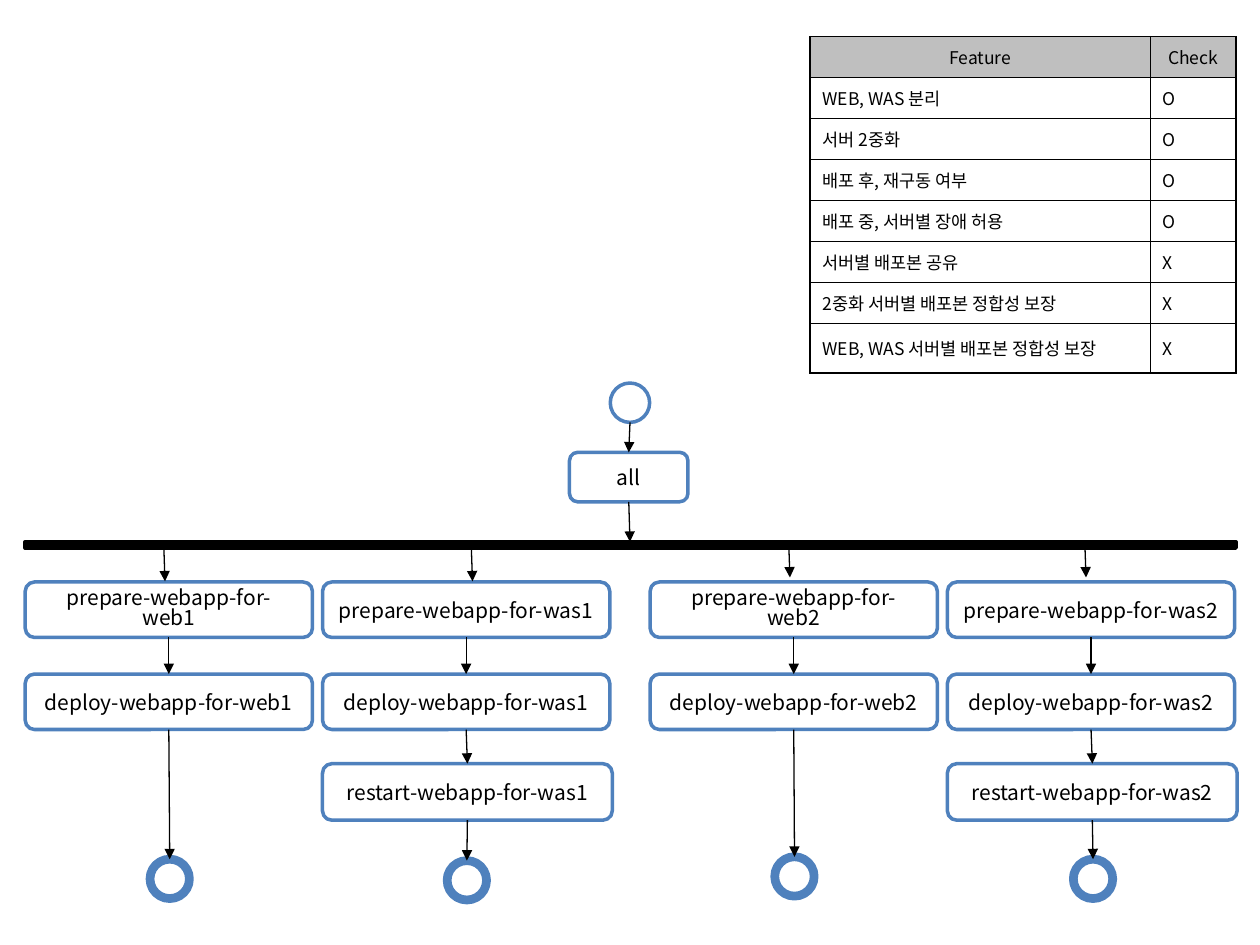
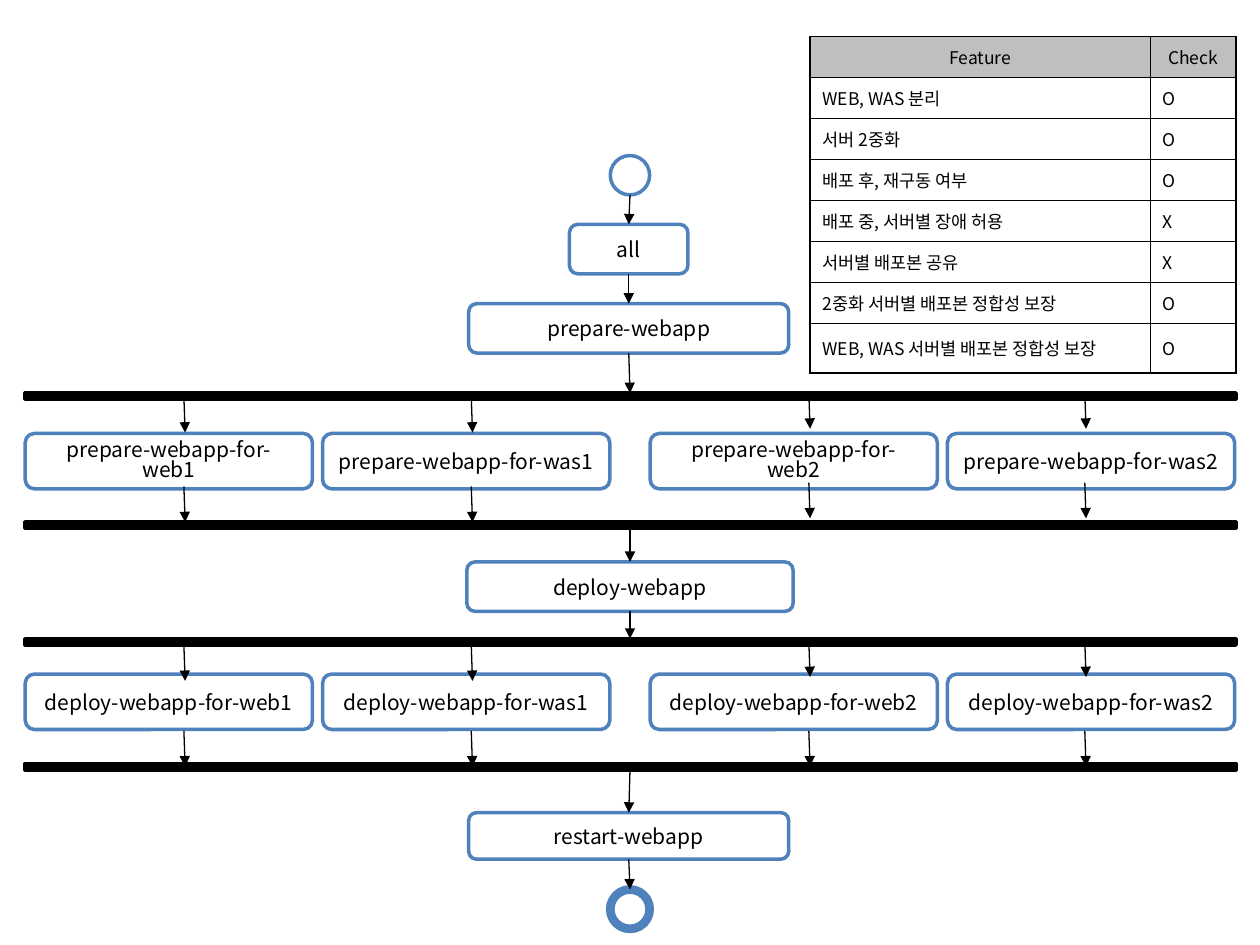
from dataclasses import dataclass
from lxml.etree import SubElement
from pptx import Presentation
from pptx.dml.color import RGBColor
from pptx.enum.shapes import MSO_CONNECTOR, MSO_SHAPE
from pptx.enum.text import MSO_ANCHOR, PP_ALIGN
from pptx.oxml import parse_xml
from pptx.oxml.ns import nsdecls, qn
from pptx.util import Pt


@dataclass(frozen=True)
class Theme:
    font: str = "Noto Sans CJK KR"
    ink: RGBColor = RGBColor(0, 0, 0)
    paper: RGBColor = RGBColor(255, 255, 255)
    outline: RGBColor = RGBColor(0x4F, 0x81, 0xBD)
    header: RGBColor = RGBColor(0xBF, 0xBF, 0xBF)
    step_size: int = 12
    table_size: int = 10
    outline_width: float = 2
    end_width: float = 5
    arrow_width: float = 0.75


THEME = Theme()

# Content: feature table
HEADINGS = ("Feature", "Check")
FEATURES = [
    "WEB, WAS 분리",
    "서버 2중화",
    "배포 후, 재구동 여부",
    "배포 중, 서버별 장애 허용",
    "서버별 배포본 공유",
    "2중화 서버별 배포본 정합성 보장",
    "WEB, WAS 서버별 배포본 정합성 보장",
]

# Content: servers with the left edge of their column
SERVERS = {"web1": 14.4, "was1": 184.3, "web2": 371.5, "was2": 541.4}

# Content: flows. Spine items are (kind or label, top, width, height, centre);
# server rows are (action, top); forks are (top, drop of the web1/was1 pair).
BAR, START, END = "bar", "start", "end"
FLOWS = [
    {
        "checks": "OOOOXXX",
        "spine": [
            (START, 218.9, 22.5, 22.5, 360),
            ("all", 258.5, 67.7, 28.3, 359.3),
            (BAR, 309.6, 691.9, 3.6, 360),
        ],
        "rows": [("prepare", 332.6), ("deploy", 385.2)],
        "fork_x": (93.6, 269.3, 450.7, 619.9),
        "forks": [(309.6, 2.2)],
        "restart": ("was1", "was2"),
        "ends": {"web1": (97, 491), "was1": (266.8, 491.8),
                 "web2": (454, 489.6), "was2": (624.6, 491)},
    },
    {
        "checks": "OOOXXOO",
        "spine": [
            (START, 88.9, 22.5, 22.5, 360),
            ("all", 128.2, 67.7, 28.3, 359.3),
            ("prepare-webapp", 173.5, 182.9, 28.3, 359.3),
            (BAR, 224.6, 691.9, 3.6, 360),
            (BAR, 298.1, 691.9, 3.6, 360),
            ("deploy-webapp", 321.1, 186.5, 28.3, 360),
            (BAR, 365, 691.9, 3.6, 360),
            (BAR, 436.3, 691.9, 3.6, 360),
            ("restart-webapp", 464.4, 182.9, 26.6, 359.3),
            (END, 508.3, 22.5, 22.5, 360),
        ],
        "rows": [("prepare", 247.7), ("deploy", 385.2)],
        "fork_x": (105.1, 269.3, 462.2, 619.9),
        "forks": [(224.6, 2.2), (275.8, 2.2), (366.5, 2.2), (417.6, 0)],
        "restart": (),
        "ends": {},
    },
]

# Layout
STEP_W, STEP_H = 164.16, 31.7
RESTART_TOP, RESTART_W, RESTART_H = 436.4, 165.6, 32.3
RING = 22.5
FORK_LENGTH, FORK_LEAN = 20.4, 0.7
TABLE_LEFT, TABLE_TOP = 462.9, 20.9
TABLE_COLUMNS = (194.4, 49)
TABLE_ROW, TABLE_LAST_ROW = 23.45, 28.2


def style_text(frame, size, align):
    paragraph = frame.paragraphs[0]
    paragraph.alignment = align
    for run in paragraph.runs:
        run.font.size = Pt(size)
        run.font.bold = False
        run.font.color.rgb = THEME.ink
        run.font.name = THEME.font
        SubElement(run.font._element, qn("a:ea"), typeface=THEME.font)
    return paragraph


def add_node(slide, preset, left, top, width, height, fill=THEME.paper,
             line=THEME.outline, weight=THEME.outline_width):
    node = slide.shapes.add_shape(preset, Pt(left), Pt(top), Pt(width), Pt(height))
    node.shadow.inherit = False
    node.fill.solid()
    node.fill.fore_color.rgb = fill
    node.line.color.rgb = line
    node.line.width = Pt(weight)
    return node


def add_step(slide, label, left, top, width, height):
    frame = add_node(slide, MSO_SHAPE.ROUNDED_RECTANGLE, left, top, width, height).text_frame
    frame.word_wrap = True
    frame.vertical_anchor = MSO_ANCHOR.MIDDLE
    frame.text = label
    paragraph = style_text(frame, THEME.step_size, PP_ALIGN.CENTER)
    if label.startswith("prepare-webapp-for-web"):  # wraps onto two lines
        paragraph.line_spacing = 0.8


def add_ring(slide, centre, top, weight):
    add_node(slide, MSO_SHAPE.OVAL, centre - RING / 2, top, RING, RING, weight=weight)


def add_arrow(slide, x1, y1, x2, y2):
    arrow = slide.shapes.add_connector(MSO_CONNECTOR.STRAIGHT, Pt(x1), Pt(y1), Pt(x2), Pt(y2))
    arrow.line.color.rgb = THEME.ink
    arrow.line.width = Pt(THEME.arrow_width)
    SubElement(arrow.line._get_or_add_ln(), qn("a:tailEnd"), type="triangle")
    SubElement(arrow._element.spPr, qn("a:effectLst"))


def add_spine(slide, spine):
    for label, top, width, height, centre in spine:
        left = centre - width / 2
        if label == BAR:
            add_node(slide, MSO_SHAPE.RECTANGLE, SERVERS["web1"], top, width, height,
                     fill=THEME.ink, line=THEME.ink)
        elif label in (START, END):
            add_ring(slide, centre, top,
                     THEME.end_width if label == END else THEME.outline_width)
        else:
            add_step(slide, label, left, top, width, height)
    # Two bars in a row enclose the server steps, so no arrow joins them
    for upper, lower in zip(spine, spine[1:]):
        if not upper[0] == lower[0] == BAR:
            add_arrow(slide, upper[4], upper[1] + upper[3], lower[4], lower[1])


def add_servers(slide, flow):
    for server, left in SERVERS.items():
        chain = [(action, top, STEP_W, STEP_H) for action, top in flow["rows"]]
        if server in flow["restart"]:
            chain.append(("restart", RESTART_TOP, RESTART_W, RESTART_H))
        for action, top, width, height in chain:
            add_step(slide, f"{action}-webapp-for-{server}", left, top, width, height)
        # Where each server ends in its own ring, its steps are chained
        if server in flow["ends"]:
            end_x, end_top = flow["ends"][server]
            add_ring(slide, end_x, end_top, THEME.end_width)
            stops = [(left + width / 2, top, top + height) for _, top, width, height in chain]
            stops.append((end_x, end_top, end_top + RING))
            for (x1, _, bottom), (x2, top, _) in zip(stops, stops[1:]):
                add_arrow(slide, x1, bottom, x2, top)


def add_forks(slide, flow):
    for top, drop in flow["forks"]:
        for index, x in enumerate(flow["fork_x"]):
            start = top + (drop if index < 2 else 0)
            add_arrow(slide, x, start, x + FORK_LEAN, start + FORK_LENGTH)


def style_cell(cell, text, align, fill=None):
    cell.text = text
    cell.vertical_anchor = MSO_ANCHOR.MIDDLE
    style_text(cell.text_frame, THEME.table_size, align)
    if fill is None:
        cell.fill.background()
    else:
        cell.fill.solid()
        cell.fill.fore_color.rgb = fill
    properties = cell._tc.get_or_add_tcPr()
    for index, side in enumerate(("lnL", "lnR", "lnT", "lnB")):
        properties.insert(index, parse_xml(
            f'<a:{side} {nsdecls("a")} w="{Pt(1)}"><a:solidFill>'
            f'<a:srgbClr val="{THEME.ink}"/></a:solidFill></a:{side}>'))


def add_feature_table(slide, checks):
    rows = [HEADINGS, *zip(FEATURES, checks)]
    heights = [TABLE_ROW] * (len(rows) - 1) + [TABLE_LAST_ROW]
    features = slide.shapes.add_table(
        len(rows), len(HEADINGS), Pt(TABLE_LEFT), Pt(TABLE_TOP),
        Pt(sum(TABLE_COLUMNS)), Pt(sum(heights))).table
    features.first_row = features.horz_banding = False
    for column, width in zip(features.columns, TABLE_COLUMNS):
        column.width = Pt(width)
    for r, (texts, height) in enumerate(zip(rows, heights)):
        features.rows[r].height = Pt(height)
        for c, text in enumerate(texts):
            if r == 0:
                style_cell(features.cell(r, c), text, PP_ALIGN.CENTER, THEME.header)
            else:
                style_cell(features.cell(r, c), text, PP_ALIGN.LEFT)


def main():
    deck = Presentation()
    deck.slide_width, deck.slide_height = Pt(720), Pt(540)
    for flow in FLOWS:
        slide = deck.slides.add_slide(deck.slide_layouts[6])
        add_servers(slide, flow)
        add_spine(slide, flow["spine"])
        add_forks(slide, flow)
        add_feature_table(slide, flow["checks"])
    deck.save("out.pptx")


if __name__ == "__main__":
    main()
